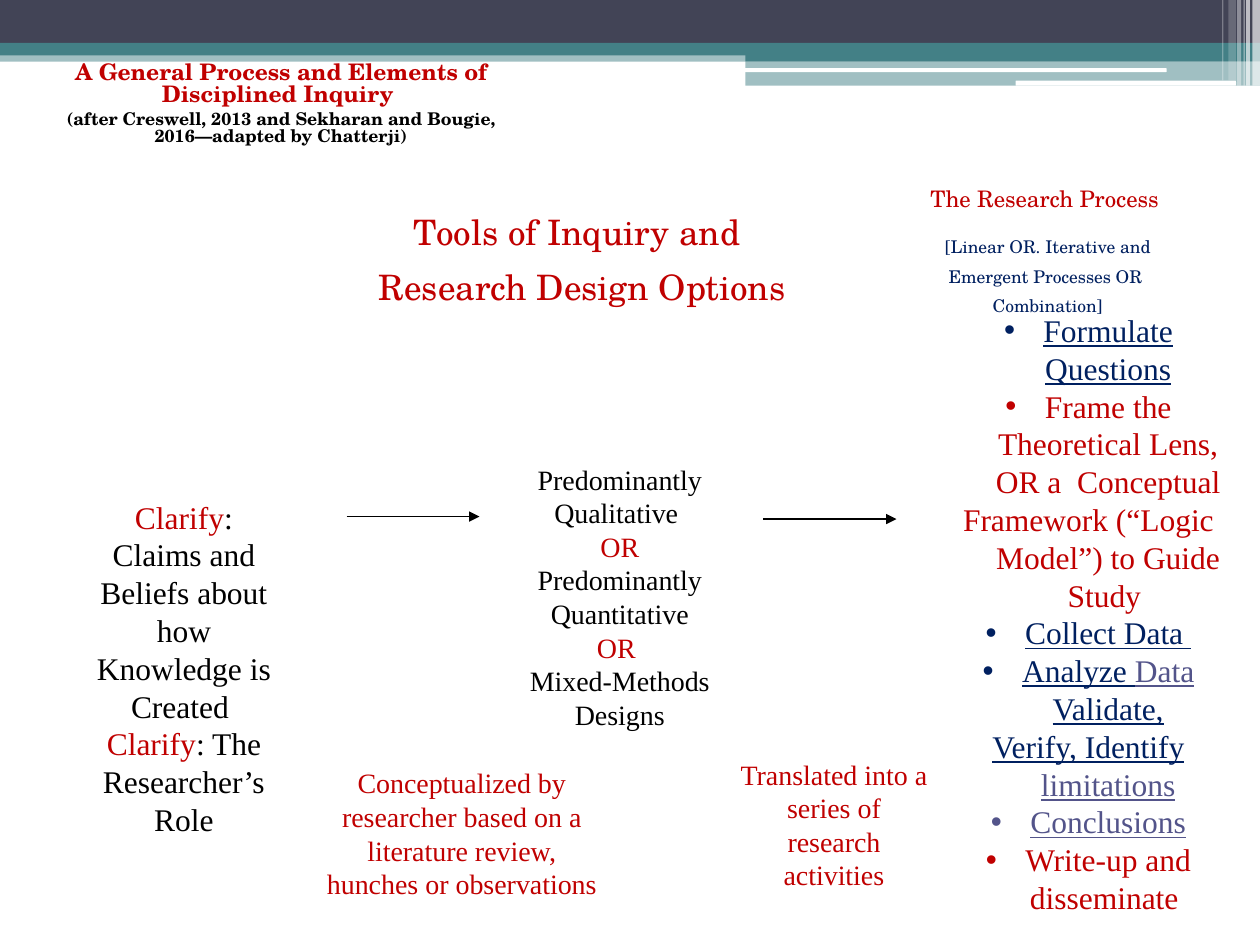
from lxml import etree
from pptx import Presentation
from pptx.dml import color
from pptx.enum import shapes, text
from pptx.oxml import ns
from pptx.util import Pt

RED, BLACK, NAVY, VIOLET = "C00000", "000000", "002060", "53548A"
TEAL, SLATE, WHITE = "438086", "424456", "FFFFFF"
SERIF, DISPLAY = "Times New Roman", "TeX Gyre Schola"
RECT = shapes.MSO_SHAPE.RECTANGLE
ROUND = shapes.MSO_SHAPE.ROUNDED_RECTANGLE

BANDS = [
    (RECT, 0, 28.8, 720, 6.5, TEAL, 50),
    (RECT, 0, 0, 720, 24.5, SLATE, 100),
    (RECT, 0, 24.5, 720, 7.2, TEAL, 100),
    (RECT, 426, 28, 294, 7, TEAL, 100),
    (RECT, 426, 35, 294, 14, TEAL, 50),
    (ROUND, 425.5, 39, 241.2, 2.2, WHITE, 100),
    (ROUND, 580.3, 46.1, 126, 2.9, WHITE, 100),
]
STRIPES = [
    (715.7, 4.3, 49, 65),
    (712.1, 2.2, 49, 65),
    (710.6, 0.7, 49, 60),
    (707, 2.2, 49, 40),
    (702, 4.3, 46, 20),
    (698.4, 0.7, 46, 30),
]
NOTES = [
    ((43.9, 280.8, 122.4, 201.6), 18, [
        [("Clarify", RED),
         (": Claims and Beliefs about how Knowledge is Created ", BLACK)],
        [("Clarify", RED), (": The Researcher’s Role", BLACK)]]),
    ((179.3, 434.2, 169.2, 84.2), 16, [
        [("Conceptualized by researcher based on a literature review, "
          "hunches or observations", RED)]]),
    ((293, 260.6, 122.4, 161.3), 16, [
        [("Predominantly Qualitative ", BLACK)],
        [("OR", RED), (" Predominantly Quantitative", BLACK)],
        [("OR ", RED)],
        [("Mixed-Methods Designs", BLACK)]]),
    ((415.4, 429.1, 122.4, 84.2), 16, [
        [("Translated into a series of research activities", RED)]]),
]
STEPS = [
    (True, [("Formulate Questions", NAVY)]),
    (True, [("Frame the Theoretical Lens, OR a  Conceptual", RED)]),
    (False, [("Framework (“Logic Model”) to Guide Study ", RED)]),
    (True, [("Collect Data ", NAVY)]),
    (True, [("Analyze ", NAVY), ("Data ", VIOLET), ("Validate,", NAVY)]),
    (False, [("Verify, Identify ", NAVY), ("limitations", VIOLET)]),
    (True, [("Conclusions", VIOLET)]),
    (True, [("Write-up and disseminate ", RED)]),
]


def rgb(value):
    """Turn a hex string into a colour."""
    return color.RGBColor.from_string(value)


def add_band(s, kind, x, y, w, h, fill, opacity):
    """Draw one borderless decoration with the given opacity in percent."""
    sp = s.shapes.add_shape(kind, Pt(x), Pt(y), Pt(w), Pt(h))
    sp.shadow.inherit = False
    sp.line.fill.background()
    sp.fill.solid()
    sp.fill.fore_color.rgb = rgb(fill)
    if opacity < 100:
        clr = sp.fill._xPr.find(".//" + ns.qn("a:srgbClr"))
        etree.SubElement(clr, ns.qn("a:alpha"), val=str(opacity * 1000))


def set_frame(sp, margin_x, margin_y):
    """Prepare a wrapped, top-anchored text frame."""
    tf = sp.text_frame
    tf.word_wrap = True
    tf.auto_size = text.MSO_AUTO_SIZE.NONE
    tf.vertical_anchor = text.MSO_ANCHOR.TOP
    tf.margin_left = tf.margin_right = Pt(margin_x)
    tf.margin_top = tf.margin_bottom = Pt(margin_y)
    return tf


def add_box(s, x, y, w, h):
    """Add a text box and return its frame."""
    return set_frame(s.shapes.add_textbox(Pt(x), Pt(y), Pt(w), Pt(h)), 7.2, 3.6)


def add_paragraph(tf, runs, size, font, spacing=1.0, before=0):
    """Write coloured runs into the next centred paragraph."""
    first = not tf.paragraphs[0].runs
    p = tf.paragraphs[0] if first else tf.add_paragraph()
    p.alignment = text.PP_ALIGN.CENTER
    p.line_spacing = spacing
    p.space_before = Pt(0 if first else before)
    for words, fill in runs:
        r = p.add_run()
        r.text = words
        r.font.size = Pt(size)
        r.font.name = font
        r.font.color.rgb = rgb(fill)
    return p


def set_hanging(p, bullet, fill):
    """Indent a paragraph and give it a coloured bullet if asked."""
    ppr = p._p.get_or_add_pPr()
    ppr.set("marL", str(Pt(22.5)))
    ppr.set("indent", str(Pt(-22.5)))
    if bullet:
        clr = etree.SubElement(ppr, ns.qn("a:buClr"))
        etree.SubElement(clr, ns.qn("a:srgbClr"), val=fill)
        etree.SubElement(ppr, ns.qn("a:buFont"), typeface="Arial")
        etree.SubElement(ppr, ns.qn("a:buChar"), char="•")


def add_title(s):
    """Place and fill the title placeholder."""
    sp = s.shapes.title
    sp.left, sp.top, sp.width, sp.height = Pt(28), Pt(36), Pt(265), Pt(60)
    tf = set_frame(sp, 0, 0)
    lines = [
        ("A General Process and Elements of Disciplined Inquiry ", 13, RED),
        ("(after Creswell, 2013 and Sekharan and Bougie, "
         "2016—adapted by Chatterji)", 10, BLACK),
    ]
    for words, size, fill in lines:
        p = add_paragraph(tf, [(words, fill)], size, DISPLAY, 0.8, 3)
        p.runs[0].font.bold = True


def add_headings(s):
    """Add the headings of the middle and right columns."""
    tf = add_box(s, 179.3, 119.5, 306.7, 67)
    for words in ("Tools of Inquiry and ", "Research Design Options"):
        add_paragraph(tf, [(words, RED)], 20, DISPLAY, 0.9, 10)
    tf = add_box(s, 512.6, 107.3, 172.1, 78.5)
    add_paragraph(tf, [("The Research Process ", RED)], 13, DISPLAY, 0.6)
    add_paragraph(
        tf, [("[Linear OR. Iterative and Emergent Processes OR  Combination]", NAVY)],
        10, DISPLAY, 1.4, 10)


def add_steps(s):
    """Add the list of research steps, underlining all but the red ones."""
    tf = add_box(s, 537.8, 174.2, 168.5, 353)
    for bullet, runs in STEPS:
        p = add_paragraph(tf, runs, 18, SERIF)
        set_hanging(p, bullet, runs[0][1])
        for r, (_, fill) in zip(p.runs, runs):
            r.font.underline = fill != RED


def add_arrow(s, x, y, length):
    """Draw a thin horizontal arrow pointing right."""
    cxn = s.shapes.add_connector(
        shapes.MSO_CONNECTOR.STRAIGHT, Pt(x), Pt(y), Pt(x + length), Pt(y))
    cxn.line.color.rgb = rgb(BLACK)
    cxn.line.width = Pt(0.75)
    etree.SubElement(cxn.line._get_or_add_ln(), ns.qn("a:tailEnd"), type="triangle")
    etree.SubElement(cxn._element.spPr, ns.qn("a:effectLst"))


def main():
    """Build the slide and save it."""
    prs = Presentation()
    prs.slide_width, prs.slide_height = Pt(720), Pt(540)
    s = prs.slides.add_slide(prs.slide_layouts[5])
    for band in BANDS:
        add_band(s, *band)
    for x, w, h, opacity in STRIPES:
        add_band(s, RECT, x, 0, w, h, WHITE, opacity)
    add_title(s)
    add_headings(s)
    for place, size, paragraphs in NOTES:
        tf = add_box(s, *place)
        for runs in paragraphs:
            add_paragraph(tf, runs, size, SERIF)
    add_steps(s)
    for x, y in ((198, 295.2), (436.3, 296.6)):
        add_arrow(s, x, y, 76)
    prs.save("out.pptx")


if __name__ == "__main__":
    main()
